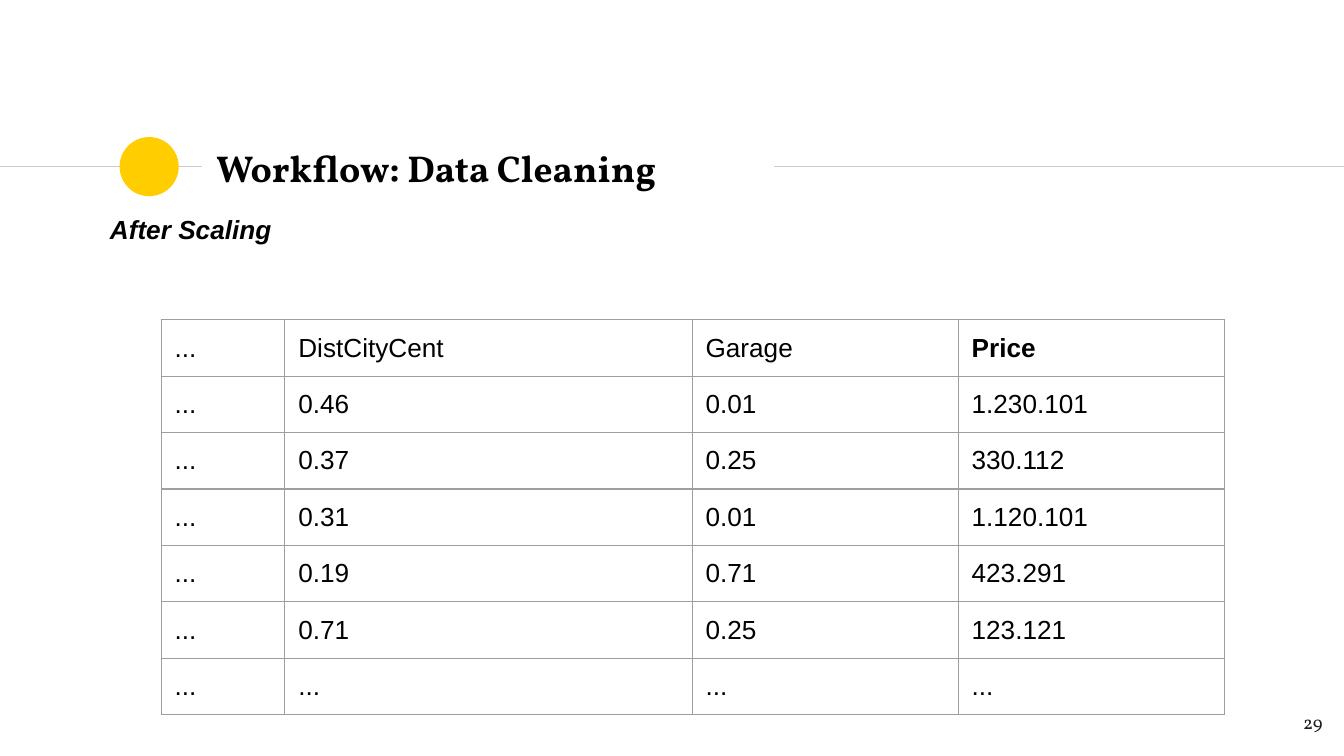
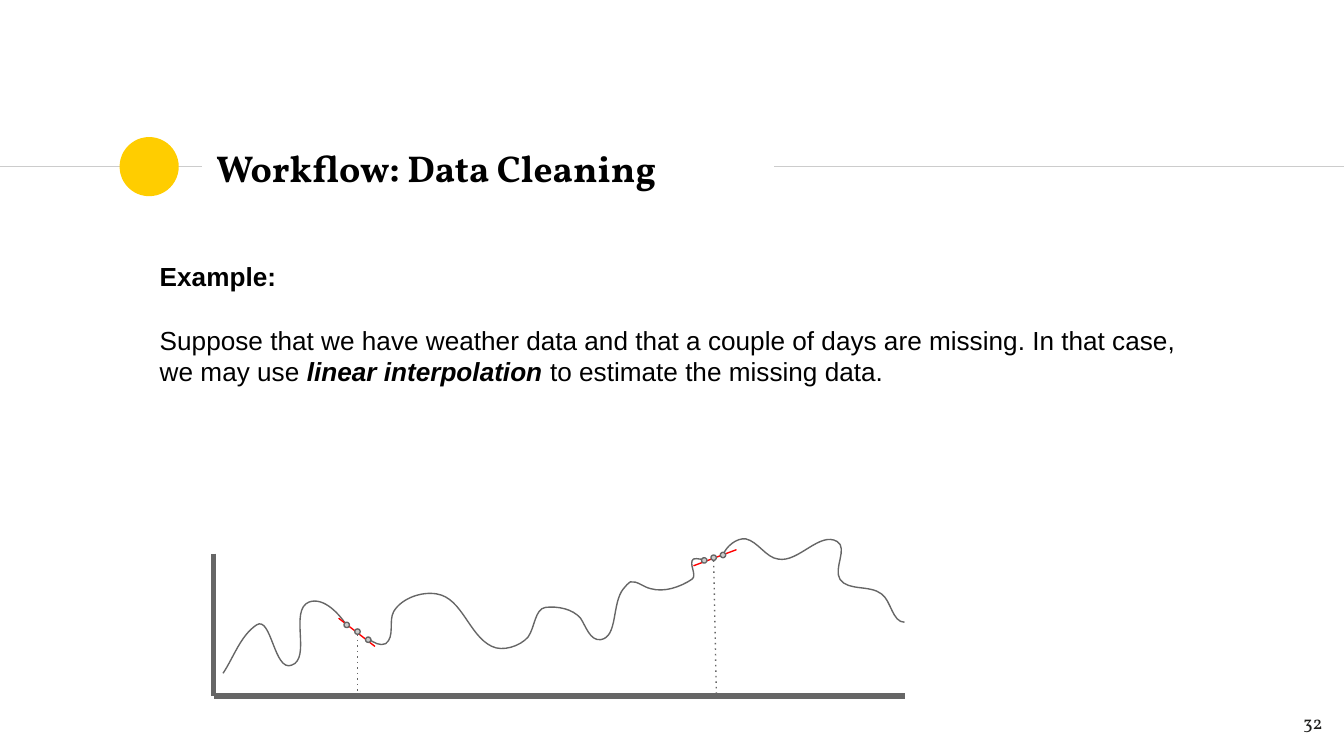
from dataclasses import dataclass
from typing import NamedTuple, Optional

from lxml.etree import SubElement
from pptx import Presentation
from pptx.dml.color import RGBColor
from pptx.enum.shapes import MSO_CONNECTOR as Connector, MSO_SHAPE as Preset
from pptx.enum.text import MSO_ANCHOR as Anchor, MSO_AUTO_SIZE as AutoSize, PP_ALIGN as Align
from pptx.oxml.ns import qn
from pptx.util import Emu, Pt

EMU_PER_PX = 9144
SLIDE_WIDTH = 1000
INSET = 10
TITLE_ONLY = 5


@dataclass(frozen=True)
class Theme:
    """Colours, fonts and type sizes shared by the slides."""

    ink: str = "000000"
    number_ink: str = "1D1D1B"
    accent: str = "FFCD00"
    rule: str = "CCCCCC"
    grid: str = "9E9E9E"
    sketch: str = "666666"
    estimate: str = "FF0000"
    heading_font: str = "Vollkorn"
    body_font: str = "Arial"
    title_size: int = 20
    body_size: int = 14
    number_size: int = 10
    thin: float = 0.75
    thick: float = 3


THEME = Theme()


class Box(NamedTuple):
    """A rectangle in px."""

    left: int
    top: int
    width: int
    height: int


class Segment(NamedTuple):
    """A straight line in px with its look."""

    x1: int
    y1: int
    x2: int
    y2: int
    color: str
    weight: float = THEME.thin
    dash: Optional[str] = None


TITLE_BOX = Box(151, 101, 424, 48)
NUMBER_BOX = Box(934, 519, 60, 43)
BADGE_BOX = Box(89, 102, 44, 44)
TITLE_RULES = (
    Segment(0, 124, 150, 124, THEME.rule),
    Segment(576, 124, SLIDE_WIDTH, 124, THEME.rule),
)

COLUMN_WIDTHS = (92, 303, 198, 198)
ROW_HEIGHT = 42
SCALED_ROWS = (
    ("...", "DistCityCent", "Garage", "Price"),
    ("...", "0.46", "0.01", "1.230.101"),
    ("...", "0.37", "0.25", "330.112"),
    ("...", "0.31", "0.01", "1.120.101"),
    ("...", "0.19", "0.71", "423.291"),
    ("...", "0.71", "0.25", "123.121"),
    ("...", "...", "...", "..."),
)

AXES = (
    Segment(159, 412, 159, 518, THEME.sketch, THEME.thick),
    Segment(673, 518, 159, 518, THEME.sketch, THEME.thick),
)
WEATHER_CURVES = (
    ((166, 501), (174, 489), (179, 473), (191, 465), (202, 458), (204, 500), (217, 495),
     (232, 490), (215, 454), (230, 448), (241, 444), (253, 457), (259, 467)),
    ((275, 476), (278, 478), (283, 481), (287, 479), (294, 474), (289, 462), (293, 455),
     (299, 445), (314, 440), (325, 442), (344, 445), (349, 473), (366, 481),
     (374, 485), (387, 481), (393, 474), (398, 467), (398, 453), (406, 452),
     (415, 451), (426, 453), (432, 460), (436, 466), (439, 477), (447, 476),
     (460, 474), (455, 449), (464, 438), (466, 436), (467, 434), (469, 433),
     (474, 432), (479, 437), (484, 438), (494, 441), (506, 437), (515, 431),
     (519, 428), (512, 419), (516, 416), (519, 415), (522, 417), (525, 416)),
    ((538, 413), (540, 407), (548, 400), (555, 401), (564, 403), (570, 415), (579, 416),
     (594, 419), (610, 395), (623, 403), (631, 408), (620, 423), (625, 431),
     (631, 440), (647, 435), (656, 442), (663, 447), (664, 463), (673, 463)),
)
ESTIMATES = (
    Segment(252, 460, 279, 481, THEME.estimate),
    Segment(516, 421, 548, 409, THEME.estimate),
)
DAY_SIZE = 4
DAYS = ((256, 463), (272, 474), (536, 411), (522, 415), (264, 468), (529, 413))
DROP_LINES = (
    Segment(531, 417, 533, 516, THEME.sketch, dash="dot"),
    Segment(266, 472, 266, 515, THEME.sketch, dash="dot"),
)


def px(length: int) -> Emu:
    """Turn px into EMU."""
    return Emu(length * EMU_PER_PX)


def place(box: Box) -> tuple:
    """Return the box as EMU lengths."""
    return tuple(px(length) for length in box)


def add_text(paragraph, text: str, *, font: str = THEME.body_font, size: int = THEME.body_size,
             color: str = THEME.ink, bold: bool = False, italic: bool = False) -> None:
    """Append one formatted run to a paragraph."""
    run = paragraph.add_run()
    run.text = text
    run.font.name = font
    run.font.size = Pt(size)
    run.font.bold = bold
    run.font.italic = italic
    run.font.color.rgb = RGBColor.from_string(color)


def set_frame(frame, anchor: Anchor = Anchor.TOP) -> None:
    """Give a text frame the shared insets, wrapping and anchor."""
    frame.word_wrap = True
    frame.auto_size = AutoSize.NONE
    frame.vertical_anchor = anchor
    frame.margin_left = frame.margin_right = px(INSET)
    frame.margin_top = frame.margin_bottom = px(INSET)


def add_box(slide, box: Box, align: Align = Align.LEFT):
    """Add a text box and return its frame."""
    frame = slide.shapes.add_textbox(*place(box)).text_frame
    set_frame(frame)
    frame.paragraphs[0].alignment = align
    return frame


def set_line(shape, color: str, weight: float = THEME.thin) -> None:
    """Set the outline colour and width."""
    shape.line.color.rgb = RGBColor.from_string(color)
    shape.line.width = Pt(weight)


def add_segment(slide, segment: Segment) -> None:
    """Draw a straight connector without shadow."""
    ends = (px(length) for length in segment[:4])
    connector = slide.shapes.add_connector(Connector.STRAIGHT, *ends)
    set_line(connector, segment.color, segment.weight)
    properties = connector.element.spPr
    if segment.dash:
        SubElement(properties.find(qn("a:ln")), qn("a:prstDash"), val=segment.dash)
    SubElement(properties, qn("a:effectLst"))


def add_circle(slide, box: Box, fill: str, outline: Optional[str] = None) -> None:
    """Draw a filled circle."""
    circle = slide.shapes.add_shape(Preset.OVAL, *place(box))
    circle.shadow.inherit = False
    circle.fill.solid()
    circle.fill.fore_color.rgb = RGBColor.from_string(fill)
    if outline:
        set_line(circle, outline)
    else:
        circle.line.fill.background()


def add_curve(slide, points: tuple) -> None:
    """Draw a chain of cubic curves from a start point and triples of points."""
    builder = slide.shapes.build_freeform(*points[0], scale=float(EMU_PER_PX))
    builder.add_line_segments(points[1:], close=False)
    curve = builder.convert_to_shape()
    steps = list(curve.element.iter(qn("a:lnTo")))
    for first, second, third in zip(steps[::3], steps[1::3], steps[2::3]):
        for step in (second, third):
            first.append(step[0])
            step.getparent().remove(step)
        first.tag = qn("a:cubicBezTo")
    curve.shadow.inherit = False
    curve.fill.background()
    set_line(curve, THEME.sketch)


def set_borders(cell) -> None:
    """Outline a table cell on its four sides."""
    properties = cell._tc.get_or_add_tcPr()
    for side in ("lnL", "lnR", "lnT", "lnB"):
        line = SubElement(properties, qn(f"a:{side}"), w=str(Pt(THEME.thin)))
        fill = SubElement(line, qn("a:solidFill"))
        SubElement(fill, qn("a:srgbClr"), val=THEME.grid)


def add_scaled_table(slide) -> None:
    """Draw the table of scaled values."""
    box = Box(120, 238, sum(COLUMN_WIDTHS), ROW_HEIGHT * len(SCALED_ROWS))
    table = slide.shapes.add_table(len(SCALED_ROWS), len(COLUMN_WIDTHS), *place(box)).table
    table.first_row = table.horz_banding = False
    for column, width in zip(table.columns, COLUMN_WIDTHS):
        column.width = px(width)
    for row, values in zip(table.rows, SCALED_ROWS):
        row.height = px(ROW_HEIGHT)
        for cell, value in zip(row.cells, values):
            cell.margin_left = cell.margin_right = px(INSET)
            cell.margin_top = cell.margin_bottom = px(INSET)
            set_borders(cell)
            cell.fill.background()
            add_text(cell.text_frame.paragraphs[0], value, bold=value == "Price")


def add_base_slide(presentation, number: int):
    """Add a slide with the title band and the page number."""
    slide = presentation.slides.add_slide(presentation.slide_layouts[TITLE_ONLY])
    for rule in TITLE_RULES:
        add_segment(slide, rule)
    add_circle(slide, BADGE_BOX, THEME.accent)
    title = slide.shapes.title
    title.left, title.top, title.width, title.height = place(TITLE_BOX)
    set_frame(title.text_frame, Anchor.MIDDLE)
    heading = title.text_frame.paragraphs[0]
    heading.alignment = Align.LEFT
    add_text(heading, "Workflow: Data Cleaning", font=THEME.heading_font,
             size=THEME.title_size, bold=True)
    frame = add_box(slide, NUMBER_BOX, Align.RIGHT)
    add_text(frame.paragraphs[0], str(number), font=THEME.heading_font,
             size=THEME.number_size, color=THEME.number_ink)
    return slide


def build_scaling_slide(presentation) -> None:
    """Build the slide with the scaled table."""
    slide = add_base_slide(presentation, 29)
    frame = add_box(slide, Box(72, 149, 857, 121), Align.JUSTIFY)
    add_text(frame.paragraphs[0], "After Scaling", bold=True, italic=True)
    add_scaled_table(slide)


def build_interpolation_slide(presentation) -> None:
    """Build the slide with the interpolation example."""
    slide = add_base_slide(presentation, 32)
    frame = add_box(slide, Box(109, 184, 782, 209))
    add_text(frame.paragraphs[0], "Example:", bold=True)
    example = frame.add_paragraph()
    example.space_before = Pt(17)
    add_text(example, "Suppose that we have weather data and that a couple of days are missing. "
                      "In that case, we may use ")
    add_text(example, "linear interpolation ", bold=True, italic=True)
    add_text(example, "to estimate the missing data.")
    for axis in AXES:
        add_segment(slide, axis)
    for points in WEATHER_CURVES:
        add_curve(slide, points)
    for estimate in ESTIMATES:
        add_segment(slide, estimate)
    for left, top in DAYS:
        add_circle(slide, Box(left, top, DAY_SIZE, DAY_SIZE), THEME.rule, THEME.sketch)
    for drop_line in DROP_LINES:
        add_segment(slide, drop_line)


def main() -> None:
    """Build and save the presentation."""
    presentation = Presentation()
    presentation.slide_width = px(SLIDE_WIDTH)
    presentation.slide_height = Emu(px(SLIDE_WIDTH) * 9 // 16)
    build_scaling_slide(presentation)
    build_interpolation_slide(presentation)
    presentation.save("out.pptx")


if __name__ == "__main__":
    main()
